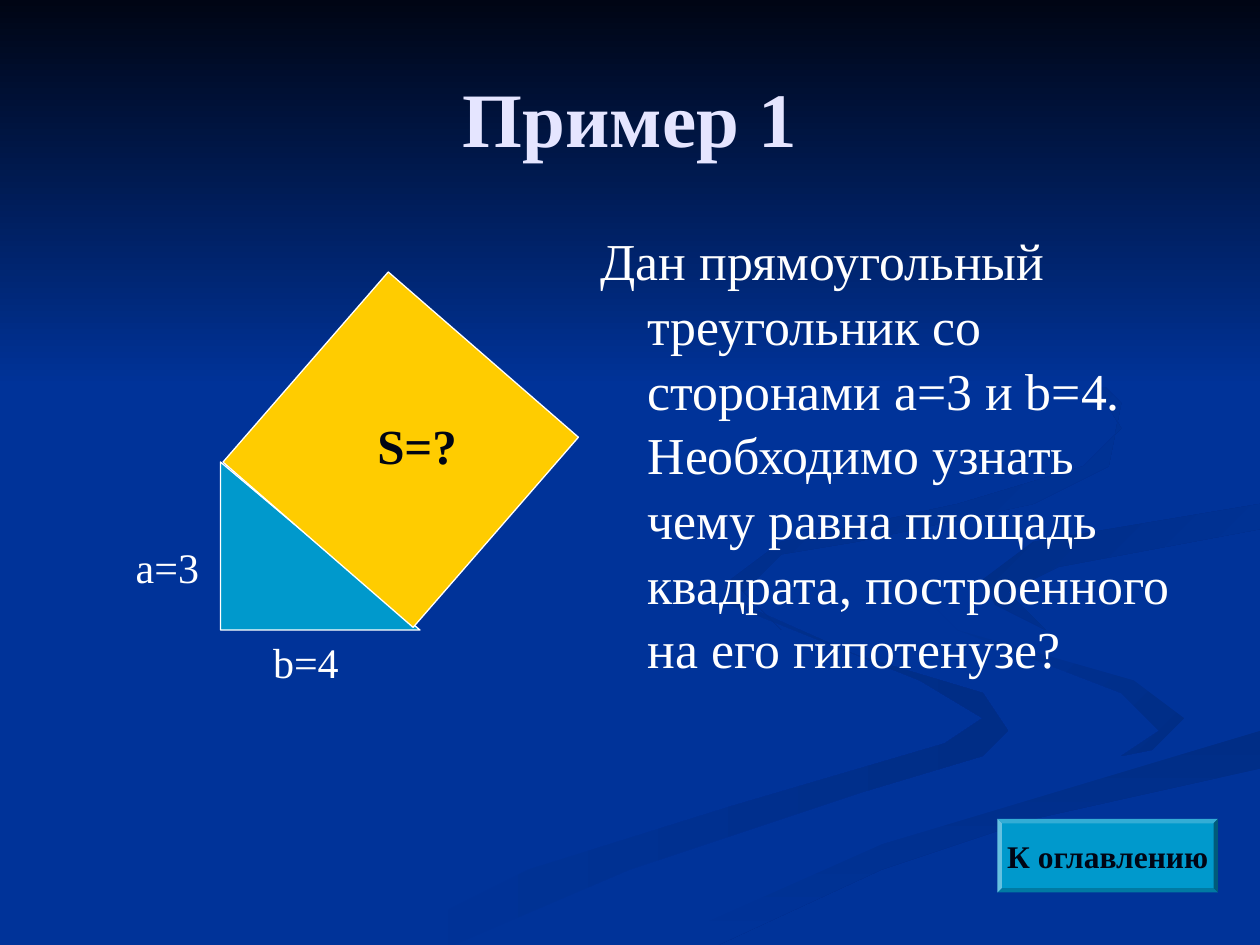
from dataclasses import dataclass

from pptx import Presentation
from pptx.dml.color import RGBColor
from pptx.enum.shapes import MSO_SHAPE
from pptx.enum.text import MSO_ANCHOR, PP_ALIGN
from pptx.util import Pt

RECTANGLE = MSO_SHAPE.RECTANGLE
RIGHT_TRIANGLE = MSO_SHAPE.RIGHT_TRIANGLE
BEVEL = MSO_SHAPE.BEVEL
MIDDLE = MSO_ANCHOR.MIDDLE
LEFT = PP_ALIGN.LEFT
CENTER = PP_ALIGN.CENTER


@dataclass(frozen=True)
class Theme:
    """Colours, font and type sizes of the slide."""
    font: str = "Times New Roman"
    background: str = "003399"
    night: str = "000514"
    ribbon: str = "002D86"
    title: str = "E5E5FF"
    white: str = "FFFFFF"
    teal: str = "0099CC"
    yellow: str = "FFCC00"
    title_size: float = 44
    body_size: float = 29.6
    area_size: float = 28
    label_size: float = 24
    button_size: float = 18


THEME = Theme()
RIBBON_UNIT = 7.2
RIBBONS = [
    (THEME.background, THEME.ribbon, 0, [
        (78, 55.3), (68, 51.9), (59, 48.5), (57.5, 45.9), (58, 48.3), (73, 53.5), (78.5, 57),
        (75, 59.4), (58, 63.9), (42, 69), (30, 74.9), (36, 74.9), (50, 68.7), (68, 63.4),
        (78, 60.5), (80, 58)]),
    (THEME.background, THEME.ribbon, 45, [
        (94.3, 57), (90.5, 54), (75.8, 49.8), (72.4, 46.4), (75.5, 50.5), (89, 55.3),
        (91.8, 58), (89.4, 60.5), (93.7, 58.6)]),
    (THEME.ribbon, THEME.background, 90, [
        (50.3, 74.9), (57, 74.9), (70, 69), (82, 65.1), (99.8, 60.9), (99.8, 58.1),
        (83, 62.9), (69.6, 66.9), (57, 71.9)]),
    (THEME.background, THEME.background, 0, [
        (72.5, 46.4), (76, 49.8), (90.5, 54), (94.3, 57), (91, 60), (74, 64.3), (57, 70.3),
        (47.7, 74.9), (52, 74.7), (70, 66.9), (99.9, 58.1), (99.9, 53.8), (83, 49.8),
        (78.1, 46.3), (82, 43.4), (99.9, 40.2), (99.9, 38.7), (77, 42.7)]),
    (THEME.ribbon, THEME.background, 45, [
        (78.1, 46), (79, 47.8), (82.6, 49.6), (80.5, 47.2), (84.3, 44.8), (99.8, 42),
        (99.8, 40.2), (82, 43.3)]),
    (THEME.ribbon, THEME.background, 45, [
        (68.3, 43), (82.5, 40.2), (88.3, 37), (89, 32.4), (85.4, 28.3), (76.2, 23.3),
        (86.2, 29.2), (88.9, 33.5), (86, 37), (76, 39.8), (62, 42.7), (57.7, 46.2),
        (62.2, 50), (59.3, 47), (62, 44.4)]),
]


def rgb(color):
    """Return the colour of a hexadecimal string."""
    return RGBColor.from_string(color)


def fill_gradient(shape, start, end, angle):
    """Fill a shape with a two-colour gradient at a clockwise angle."""
    shape.fill.gradient()
    shape.fill.gradient_angle = (360 - angle) % 360
    for stop, color in zip(shape.fill.gradient_stops, (start, end)):
        stop.color.rgb = rgb(color)
    shape.line.fill.background()
    shape.shadow.inherit = False


def write_text(shape, text, size, color, bold=False, align=LEFT):
    """Write one formatted paragraph into a shape and return it."""
    shape.text_frame.text = text
    paragraph = shape.text_frame.paragraphs[0]
    paragraph.alignment = align
    font = paragraph.font
    font.name, font.size, font.bold = THEME.font, Pt(size), bold
    font.color.rgb = rgb(color)
    return paragraph


def add_solid(slide, kind, left, top, width, height, color):
    """Add a preset shape with a plain fill."""
    shape = slide.shapes.add_shape(kind, Pt(left), Pt(top), Pt(width), Pt(height))
    shape.shadow.inherit = False
    shape.fill.solid()
    shape.fill.fore_color.rgb = rgb(color)
    return shape


def add_label(slide, left, top, width, height, text, size, color, bold=False):
    """Add a one-line label."""
    label = slide.shapes.add_textbox(Pt(left), Pt(top), Pt(width), Pt(height))
    label.text_frame.word_wrap = False
    write_text(label, text, size, color, bold)


def add_backdrop(slide, left, top, width, height):
    """Draw the background ribbons and the dark band at the top."""
    slide.background.fill.solid()
    slide.background.fill.fore_color.rgb = rgb(THEME.background)
    for start, end, angle, points in RIBBONS:
        builder = slide.shapes.build_freeform(*points[0], scale=Pt(RIBBON_UNIT))
        builder.add_line_segments(points[1:], close=True)
        fill_gradient(builder.convert_to_shape(Pt(left), Pt(top)), start, end, angle)
    band = slide.shapes.add_shape(RECTANGLE, Pt(left), Pt(top), Pt(width), Pt(height * 0.41))
    fill_gradient(band, THEME.night, THEME.background, 90)


def place_title(slide, left, top, width, height):
    """Format the title placeholder and bring it in front of the backdrop."""
    title = slide.shapes.title
    title.left, title.top, title.width, title.height = map(Pt, (left, top, width, height))
    title.text_frame.vertical_anchor = MIDDLE
    write_text(title, "Пример 1", THEME.title_size, THEME.title, True, CENTER)
    slide.shapes._spTree.append(title._element)


def add_problem(slide, left, top, width, height):
    """Add the problem statement with a hanging indent."""
    box = slide.shapes.add_textbox(Pt(left), Pt(top), Pt(width), Pt(height))
    box.text_frame.word_wrap = True
    paragraph = write_text(
        box,
        "Дан прямоугольный треугольник со сторонами a=3 и b=4. Необходимо узнать "
        "чему равна площадь квадрата, построенного на его гипотенузе?",
        THEME.body_size, THEME.white)
    paragraph.line_spacing = 1.04
    properties = paragraph._p.get_or_add_pPr()
    properties.set("marL", str(Pt(27)))
    properties.set("indent", str(-Pt(27)))


def add_figure(slide, left, top):
    """Draw the triangle, the square on its hypotenuse and their labels."""
    triangle = add_solid(slide, RIGHT_TRIANGLE, left + 55.5, top + 79, 114, 96, THEME.teal)
    add_label(slide, left, top + 121, 55, 36, "a=3", THEME.label_size, THEME.white)
    add_label(slide, left + 78.5, top + 175, 55.5, 36, "b=4", THEME.label_size, THEME.white)
    square = add_solid(slide, RECTANGLE, left + 86.5, top, 144, 144, THEME.yellow)
    square.rotation = 41
    for shape in (triangle, square):
        shape.line.color.rgb = rgb(THEME.white)
        shape.line.width = Pt(0.75)
    add_label(slide, left + 138, top + 49, 62, 41, "S=?", THEME.area_size, THEME.night, True)


def add_contents_button(slide, left, top, width, height):
    """Add the bevelled button that names the table of contents."""
    button = add_solid(slide, BEVEL, left, top, width, height, THEME.teal)
    button.adjustments[0] = 0.06
    button.line.fill.background()
    button.text_frame.word_wrap = False
    button.text_frame.vertical_anchor = MIDDLE
    write_text(button, "К оглавлению", THEME.button_size, THEME.night, True, CENTER)


def main():
    """Build the slide and save it."""
    presentation = Presentation()
    presentation.slide_width, presentation.slide_height = Pt(720), Pt(540)
    slide = presentation.slides.add_slide(presentation.slide_layouts[5])
    add_backdrop(slide, 0, 0, 720, 540)
    place_title(slide, 36, 21.6, 648, 90)
    add_problem(slide, 336, 126, 348, 356.4)
    add_figure(slide, 70.5, 185)
    add_contents_button(slide, 570, 468, 126, 42)
    presentation.save("out.pptx")


if __name__ == "__main__":
    main()
